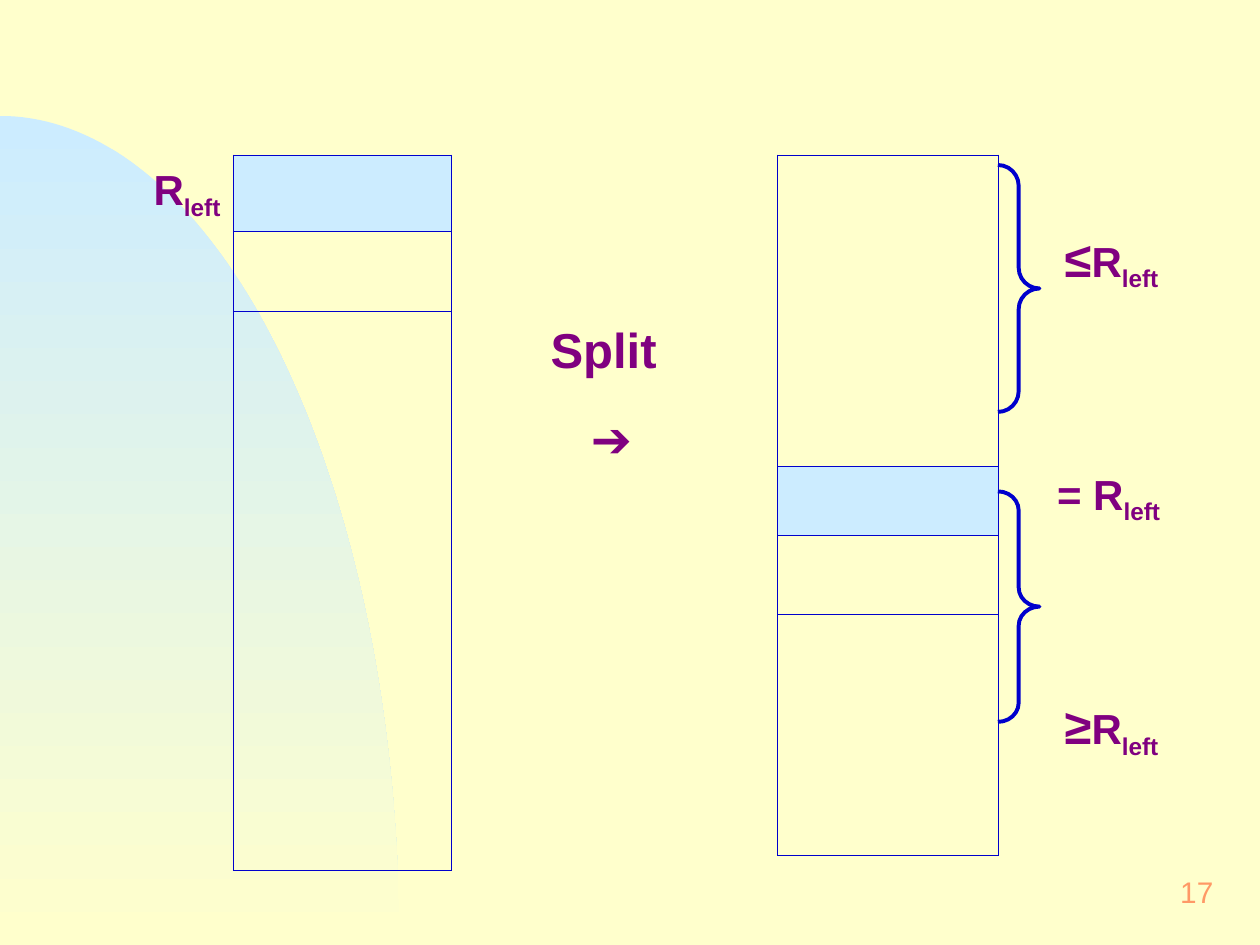
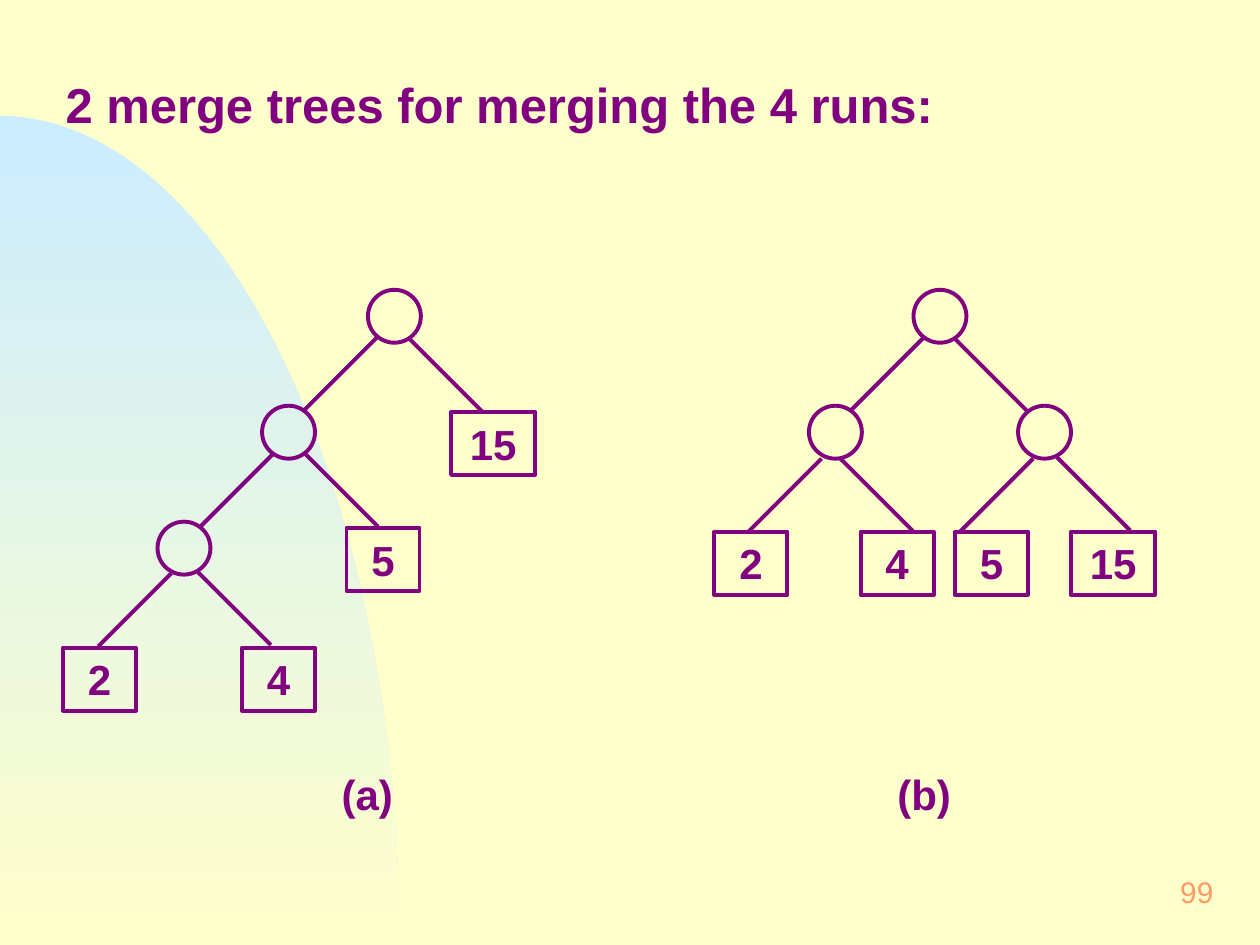
import math
from lxml import etree
from pptx import Presentation
from pptx.dml.color import RGBColor
from pptx.enum import shapes, text
from pptx.oxml import ns
from pptx.util import Inches, Pt

COLORS = {"paper": "FFFFCC", "sky": "CCECFF", "ink": "800080",
          "rule": "0000CC", "number": "FF9966"}
FONT = "Arial"
NO_STYLE = "{2D5ABB26-0587-4C30-8999-92F81FD0307C}"
NODE = 0.42      # diameter of a tree node
BRANCH = 0.58    # horizontal and vertical reach of a branch

# Each tree: caption, nodes, leaves (left, top, width, label), branches (x, y, direction)
TREE_A = {
    "caption": ("(a)", 2.58),
    "nodes": [(2.92, 2.3), (2.08, 3.22), (1.25, 4.14)],
    "leaves": [(0.5, 5.14, 0.58, "2"), (1.92, 5.14, 0.58, "4"),
               (2.75, 4.19, 0.58, "5"), (3.58, 3.27, 0.67, "15")],
    "branches": [(3, 2.67, -1), (3.25, 2.69, 1), (2.17, 3.6, -1),
                 (2.42, 3.6, 1), (1.36, 4.55, -1), (1.57, 4.54, 1)],
}
TREE_B = {
    "caption": ("(b)", 7),
    "nodes": [(7.25, 2.3), (6.42, 3.22), (8.08, 3.22)],
    "leaves": [(5.67, 4.22, 0.58, "2"), (6.83, 4.22, 0.58, "4"),
               (7.58, 4.22, 0.58, "5"), (8.5, 4.22, 0.67, "15")],
    "branches": [(7.33, 2.68, -1), (7.58, 2.69, 1), (6.52, 3.64, -1),
                 (6.67, 3.64, 1), (8.2, 3.64, -1), (8.39, 3.63, 1)],
}


def rgb(name):
    return RGBColor.from_string(COLORS[name])


def box(*lengths):
    return [Inches(length) for length in lengths]


def style(run, size, color="ink", bold=True):
    run.font.name = FONT
    run.font.size = Pt(size)
    run.font.bold = bold
    run.font.color.rgb = rgb(color)


def set_insets(frame, side, top):
    frame.margin_left = frame.margin_right = Inches(side)
    frame.margin_top = frame.margin_bottom = Inches(top)


def write(frame, words, size, align=text.PP_ALIGN.LEFT, color="ink", bold=True):
    frame.text = words
    for paragraph in frame.paragraphs:
        paragraph.alignment = align
        for run in paragraph.runs:
            style(run, size, color, bold)


def add_label(slide, place, words, size, **options):
    frame = slide.shapes.add_textbox(*box(*place)).text_frame
    frame.word_wrap = True
    frame.vertical_anchor = text.MSO_ANCHOR.MIDDLE
    write(frame, words, size, **options)
    return frame


def add_outline(slide, preset, place, color="ink"):
    outline = slide.shapes.add_shape(preset, *box(*place))
    outline.shadow.inherit = False
    outline.fill.background()
    outline.line.color.rgb = rgb(color)
    outline.line.width = Pt(2.25)
    return outline


# Shared backdrop and page number
def decorate_master(master, slide):
    master.background.fill.solid()
    master.background.fill.fore_color.rgb = rgb("paper")
    steps = 80
    angles = [math.pi / 2 * step / steps for step in range(steps + 1)]
    arc = [(Inches(3.17 * math.sin(a)), Inches(7.5 - 6.58 * math.cos(a))) for a in angles]
    builder = slide.shapes.build_freeform(*arc[0])
    builder.add_line_segments(arc[1:] + [(0, Inches(7.5))], close=True)
    hill = builder.convert_to_shape()
    hill.shadow.inherit = False
    hill.line.fill.background()
    hill.fill.gradient()
    hill.fill.gradient_angle = 270
    for stop, name in zip(hill.fill.gradient_stops, ("sky", "paper")):
        stop.color.rgb = rgb(name)
    master.shapes._spTree.insert(2, hill._element)


def add_page_number(slide, number):
    frame = add_label(slide, (7.67, 6.83, 2.08, 0.5), number, 17, color="number",
                      bold=False, align=text.PP_ALIGN.RIGHT)
    set_insets(frame, 0.12, 0.06)


# Record tables
def set_borders(cell, edges):
    properties = cell._tc.get_or_add_tcPr()
    for edge in "LRTB":
        if edge in edges:
            line = etree.SubElement(properties, ns.qn(f"a:ln{edge}"), w=str(Pt(0.45)))
            fill = etree.SubElement(line, ns.qn("a:solidFill"))
            etree.SubElement(fill, ns.qn("a:srgbClr"), val=COLORS["rule"])


def write_record(cell, sign, sign_size, align, left=0.1, top=0.05):
    cell.margin_left, cell.margin_top = Inches(left), Inches(top)
    paragraph = cell.text_frame.paragraphs[0]
    paragraph.alignment = align
    for words, size in ((sign, sign_size), ("R", 24), ("left", 24)):
        if words:
            run = paragraph.add_run()
            run.text = words
            style(run, size)
    run.font._element.set("baseline", "-25000")


def add_records(slide, left, columns, rows, record_column, pivot):
    """Draw a column of records with one highlighted pivot; the other column holds labels."""
    frame = slide.shapes.add_table(len(rows), 2, *box(left, 1.23, sum(columns), sum(rows)))
    table = frame.table
    frame._element.find(".//" + ns.qn("a:tableStyleId")).text = NO_STYLE
    table.first_row = table.horz_banding = False
    for column, width in zip(table.columns, columns):
        column.width = Inches(width)
    for index, height in enumerate(rows):
        table.rows[index].height = Inches(height)
        record = table.cell(index, record_column)
        label = table.cell(index, 1 - record_column)
        edges = "LR"
        if index in (0, pivot, pivot + 1):
            edges += "T"
        if index in (len(rows) - 1, pivot, pivot - 1):
            edges += "B"
        set_borders(record, edges)
        set_borders(label, "R" if record_column else "L")
        label.fill.background()
        if index == pivot:
            record.fill.solid()
            record.fill.fore_color.rgb = rgb("sky")
        else:
            record.fill.background()
    return table


def build_split(slide):
    before = add_records(slide, 0.67, (1.18, 1.73), [0.61] + [5.07 / 8] * 8, 1, 0)
    write_record(before.cell(0, 0), "", 24, text.PP_ALIGN.RIGHT, top=0.1)

    after = add_records(slide, 6.17, (1.75, 1.57),
                        [0.57, 0.64, 0.63, 0.63, 0.55, 0.63, 0.63, 0.64, 0.64], 0, 4)
    for row, sign, size, left in ((1, "≤", 28, 0.53), (4, "= ", 24, 0.47), (7, "≥", 28, 0.53)):
        write_record(after.cell(row, 1), sign, size, text.PP_ALIGN.LEFT, left)

    for top, height, curl in ((1.31, 1.96, 0.5), (3.9, 1.83, 0.46)):
        brace = add_outline(slide, shapes.MSO_SHAPE.RIGHT_BRACE,
                            (7.92, top, 0.33, height), "rule")
        brace.adjustments[0] = curl

    split = add_label(slide, (4.25, 2.39, 1.25, 1.35), "Split\n➔", 28)
    split.vertical_anchor = text.MSO_ANCHOR.TOP
    set_insets(split, 0.12, 0.1)
    for paragraph in split.paragraphs:
        paragraph.line_spacing = 1.1
    arrow = split.paragraphs[1]
    arrow.space_before = Pt(14)
    arrow._p.get_or_add_pPr().set("marL", str(Inches(0.32)))


# Merge trees
def add_branch(slide, x, y, direction):
    branch = slide.shapes.add_connector(
        shapes.MSO_CONNECTOR.STRAIGHT, *box(x, y, x + direction * BRANCH, y + BRANCH))
    branch.line.color.rgb = rgb("ink")
    branch.line.width = Pt(2.25)
    etree.SubElement(branch._element.spPr, ns.qn("a:effectLst"))


def add_tree(slide, tree):
    for branch in tree["branches"]:
        add_branch(slide, *branch)
    for left, top in tree["nodes"]:
        add_outline(slide, shapes.MSO_SHAPE.OVAL, (left, top, NODE, NODE))
    for left, top, width, run_length in tree["leaves"]:
        leaf = add_outline(slide, shapes.MSO_SHAPE.RECTANGLE, (left, top, width, 0.5))
        write(leaf.text_frame, run_length, 24, text.PP_ALIGN.CENTER)
    caption, left = tree["caption"]
    add_label(slide, (left, 6.05, 0.67, 0.5), caption, 24, align=text.PP_ALIGN.CENTER)


def build_trees(slide):
    title = slide.shapes.title
    title.left, title.top, title.width, title.height = box(0.42, 0.5, 9.08, 0.57)
    write(title.text_frame, "2 merge trees for merging the 4 runs:", 28)
    title.text_frame.vertical_anchor = text.MSO_ANCHOR.TOP
    title.text_frame.margin_top = Inches(0.09)
    title.text_frame.margin_bottom = 0
    for tree in (TREE_A, TREE_B):
        add_tree(slide, tree)


def main():
    deck = Presentation()
    deck.slide_width, deck.slide_height = box(10, 7.5)
    split = deck.slides.add_slide(deck.slide_layouts[6])
    trees = deck.slides.add_slide(deck.slide_layouts[5])
    decorate_master(deck.slide_master, split)
    build_split(split)
    build_trees(trees)
    for slide, number in ((split, "17"), (trees, "99")):
        add_page_number(slide, number)
    deck.save("out.pptx")


if __name__ == "__main__":
    main()
